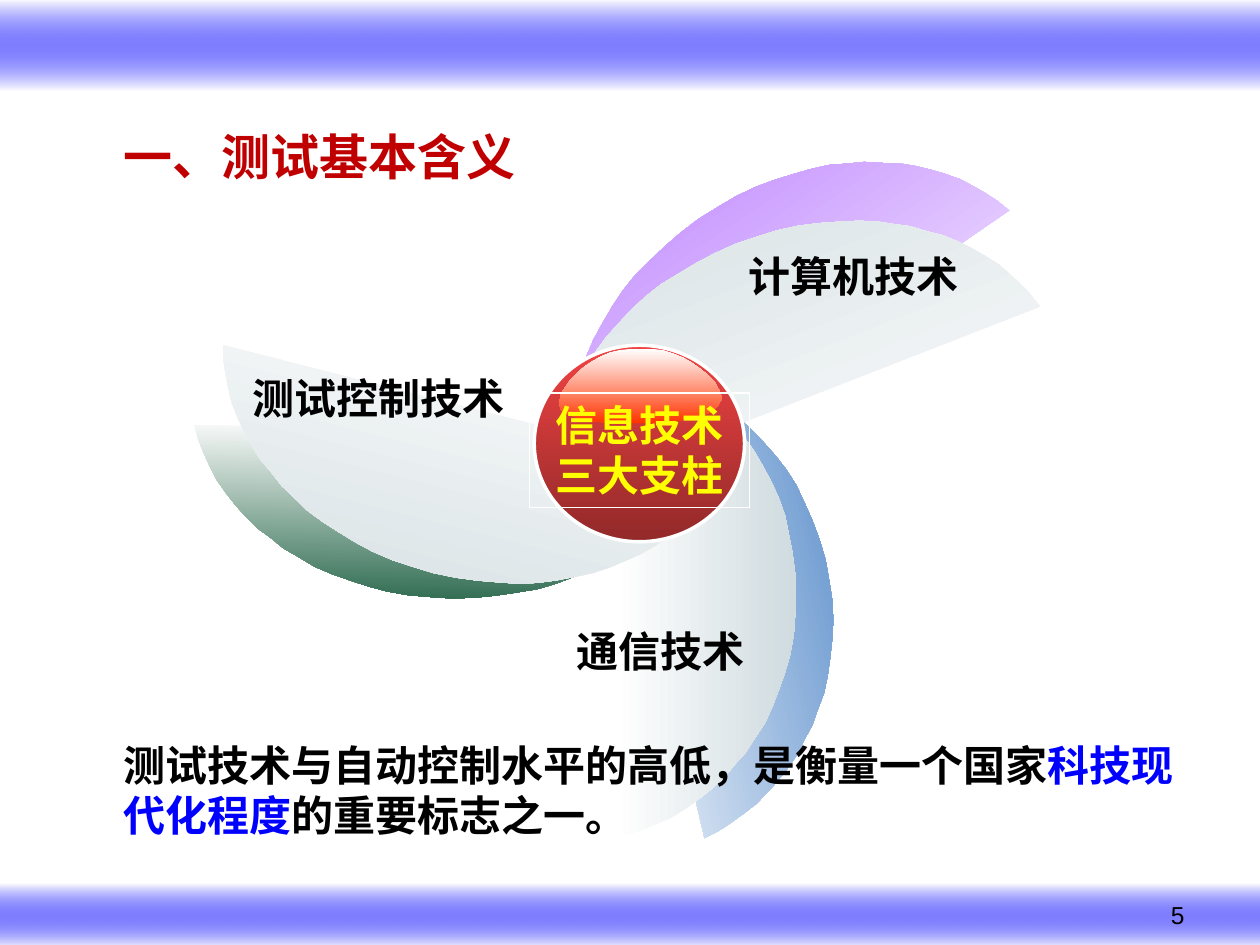
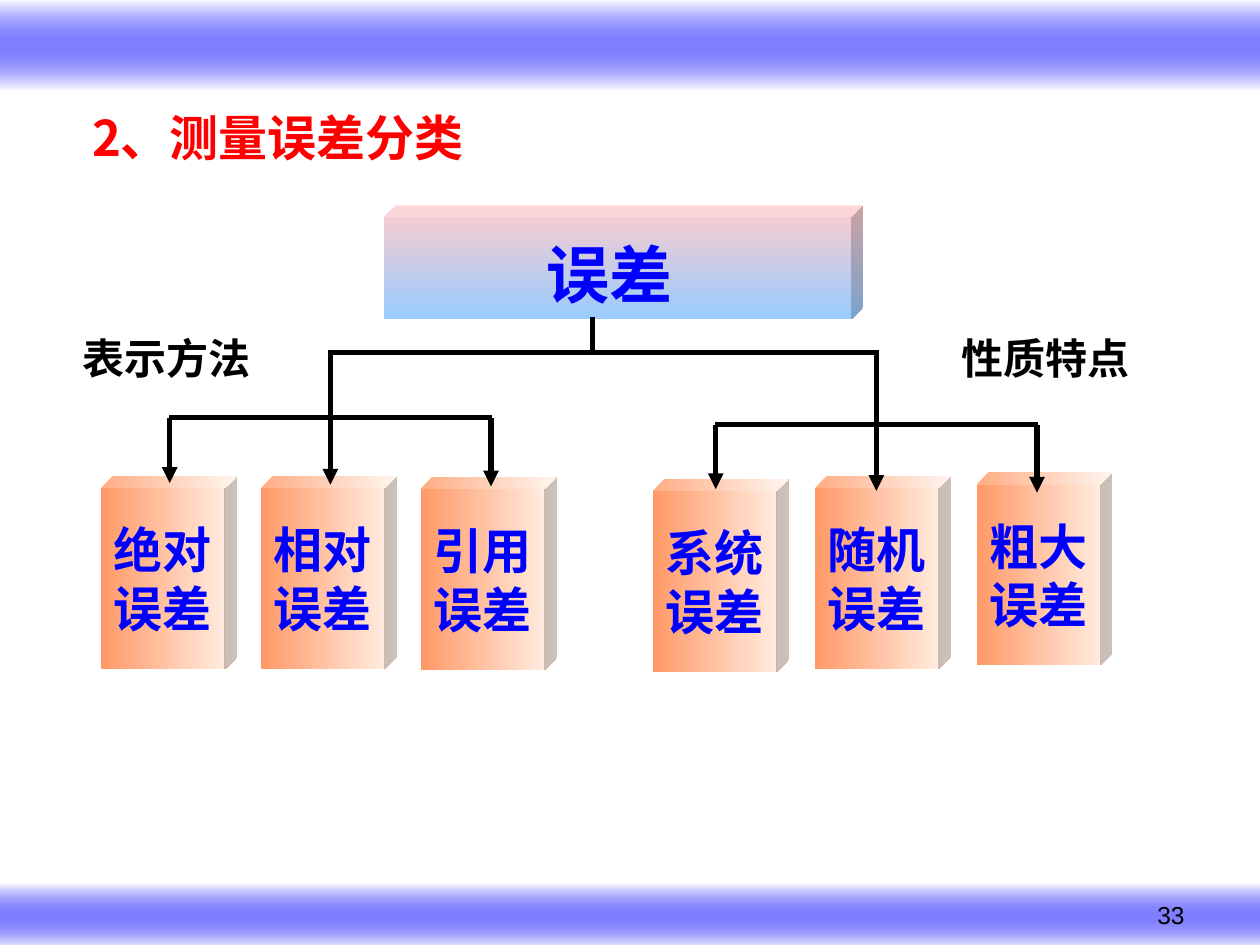
from pptx import Presentation
from pptx.dml.color import RGBColor
from pptx.enum.shapes import MSO_CONNECTOR as CONN, MSO_SHAPE as SHAPE
from pptx.enum.text import MSO_ANCHOR as ANCHOR, PP_ALIGN as ALIGN
from pptx.oxml import parse_xml
from pptx.oxml.ns import nsdecls, qn
from pptx.util import Pt

BLACK = RGBColor(0x00, 0x00, 0x00)
WHITE = RGBColor(0xFF, 0xFF, 0xFF)
BLUE = RGBColor(0x00, 0x00, 0xFF)
RED = RGBColor(0xFF, 0x00, 0x00)
DARK_RED = RGBColor(0xC0, 0x00, 0x00)
YELLOW = RGBColor(0xFF, 0xFF, 0x00)
GREY = RGBColor(0xCF, 0xDB, 0xDF)
SKY = RGBColor(0x44, 0x7E, 0xC4)
GREEN = RGBColor(0x2A, 0x68, 0x4C)
PURPLE = RGBColor(0xAF, 0x67, 0xFF)
BALL_LIGHT = RGBColor(0xF1, 0x43, 0x43)
BALL_DARK = RGBColor(0x92, 0x29, 0x29)
GLOSS = RGBColor(0xFF, 0x33, 0x00)
PINK = RGBColor(0xFF, 0xCC, 0xCC)
PALE_BLUE = RGBColor(0x99, 0xCC, 0xFF)
ORANGE = RGBColor(0xFF, 0x99, 0x66)
CREAM = RGBColor(0xFF, 0xF3, 0xEB)

CJK = "Noto Sans CJK SC"
SANS = "Arial"
SERIF = "Times New Roman"

BANDS = [(0, 504.7, 720, 37.4), (0, 0, 720, 51.8)]
BAND_STOPS = [(0, WHITE, 100), (50, BLUE, 50), (100, WHITE, 100)]
NUMBER_BOX = (516.2, 510.5, 167.8, 37.4)

PILLARS = {
    "title": ("一、测试基本含义", (63.4, 43.9, 283, 90), SANS, DARK_RED),
    "number": "5",
}
ERRORS = {
    "title": ("2、测量误差分类", (45.4, 57.6, 272.9, 41), CJK, RED),
    "number": "33",
}

WING_OUTLINE = [
    (0, 0), (7.9, 2.2), (15.8, 5), (23.8, 8.6), (31.7, 12.2), (38.9, 16.6),
    (46.1, 22.3), (53.3, 28.1), (60.5, 34.6), (67, 41.8), (73.4, 49),
    (79.2, 56.9), (84.2, 65.5), (89.3, 74.9), (93.6, 84.2), (97.2, 94.3),
    (99.4, 105.1), (101.5, 115.9), (103, 127.4), (103.7, 139.7),
    (103, 151.9), (102.2, 162.7), (100.1, 174.2), (97.2, 184.3),
    (93.6, 194.4), (90, 203.8), (85.7, 213.1), (79.9, 221.8),
    (74.9, 229.7), (68.4, 236.9), (62.6, 244.1), (55.4, 250.6),
    (48.2, 256.3), (41, 261.4), (33.1, 266.4), (25.2, 270),
    (16.6, 273.6), (8.6, 276.5), (0, 278.6),
]
GLOSS_OUTLINE = [
    (91.4, 23.8), (92.9, 28.1), (90.7, 32.4), (87.1, 36), (80.6, 38.2),
    (72, 40.3), (62.6, 41.8), (55.4, 42.5), (33.1, 42.5), (24.5, 41.8),
    (16.6, 41), (9.4, 38.9), (4.3, 37.4), (0.7, 34.6), (0, 31),
    (0.7, 25.9), (3.6, 21.6), (6.5, 17.3), (10.1, 13.7), (14.4, 10.1),
    (18.7, 7.2), (23.8, 4.3), (28.8, 2.2), (34.6, 0.7), (40.3, 0),
    (53.3, 0), (59, 0.7), (65.5, 2.9), (70.6, 5), (75.6, 7.9),
    (80.6, 11.5), (85, 15.1), (88.6, 18.7),
]
WINGS = [
    ((369.4, 192.2, 103.7, 278.6), 346.8, SKY),
    ((211, 144.7, 96.5, 298.1), 91, GREEN),
    ((378, 15.8, 96.5, 298.4), 235.5, PURPLE),
    ((351.4, 200.2, 103.7, 278.6), 0, GREY),
    ((211.7, 131.8, 96.5, 298.1), 104.3, GREY),
    ((389.5, 35.3, 96.5, 298.1), 248.7, GREY),
]
BALL_BOX = (305.3, 197.3, 120.2, 112.3)
GLOSS_BOX = (319.7, 199.4, 92.9, 42.5)
CORE_BOX = (302.4, 224.6, 126, 65.5)
CORE_LINES = ["信息技术", "三大支柱"]
PILLAR_LABELS = [
    ("测试控制技术", (136.8, 209.5, 158.4, 36), ALIGN.RIGHT),
    ("计算机技术", (420.5, 139.7, 134.6, 36), ALIGN.LEFT),
    ("通信技术", (322.6, 354.2, 110.2, 36), ALIGN.RIGHT),
]
CONCLUSION_BOX = (63.4, 419, 629.3, 64.8)
CONCLUSION = [
    ("测试技术与自动控制水平的高低，是衡量一个国家", BLACK),
    ("科技现代化程度", BLUE),
    ("的重要标志之一。", BLACK),
]

ROOT_BOX = (219.6, 117.4, 273.6, 64.8)
CUBE_SIZE = (77.8, 110.2)
ARROW_STEP = 91.8
STEM_X, STEM_TOP, TRUNK_Y = 338.4, 181.4, 201.6
BRANCHES = [
    {"label": "表示方法", "label_box": (40.3, 186.5, 125.3, 36.7),
     "kinds": ["绝对", "相对", "引用"], "left": 57.6, "step": 91.4,
     "tops": [272.2, 272.2, 272.4], "arrow_x": 97, "bar_y": 238.6, "tip_y": 276},
    {"label": "性质特点", "label_box": (542.2, 186.5, 118.8, 36.7),
     "kinds": ["系统", "随机", "粗大"], "left": 373, "step": 92.5,
     "tops": [273.6, 272.2, 270], "arrow_x": 409, "bar_y": 242.6, "tip_y": 279.5},
]


def points(values):
    return [Pt(v) for v in values]


def apply(target, settings):
    for name, value in settings.items():
        setattr(target, name, value)


def set_gradient(s, stops, angle=0):
    s.shadow.inherit = False
    s.line.fill.background()
    s.fill.gradient()
    s.fill.gradient_angle = -angle % 360
    stop_list = s._element.spPr.find(".//" + qn("a:gsLst"))
    for old in list(stop_list):
        stop_list.remove(old)
    for position, color, alpha in stops:
        stop_list.append(parse_xml(
            f'<a:gs {nsdecls("a")} pos="{position * 1000}"><a:srgbClr val="{color}">'
            f'<a:alpha val="{alpha * 1000}"/></a:srgbClr></a:gs>'))


def two_tone(start, end):
    return [(0, start, 100), (100, end, 100)]


def add_run(p, text, size, color, font, bold=True):
    r = p.add_run()
    r.text = text
    apply(r.font, {"size": Pt(size), "bold": bold, "name": font})
    r.font.color.rgb = color
    r._r.get_or_add_rPr().find(qn("a:latin")).addnext(
        parse_xml(f'<a:ea {nsdecls("a")} typeface="{CJK}"/>'))


def write(s, paragraphs, size, font, align=ALIGN.LEFT, anchor=ANCHOR.TOP,
          wrap=True, bold=True):
    tf = s.text_frame
    apply(tf, {"word_wrap": wrap, "vertical_anchor": anchor})
    for i, runs in enumerate(paragraphs):
        p = tf.add_paragraph() if i else tf.paragraphs[0]
        p.alignment = align
        for text, color in runs:
            add_run(p, text, size, color, font, bold)


def add_text(slide, box, paragraphs, size, font, **options):
    s = slide.shapes.add_textbox(*points(box))
    write(s, paragraphs, size, font, **options)
    return s


def add_gradient_shape(slide, kind, box, stops, angle=0):
    s = slide.shapes.add_shape(kind, *points(box))
    set_gradient(s, stops, angle)
    return s


def add_outline(slide, outline, box, stops, angle=0, rotation=0):
    start, *rest = [points(xy) for xy in outline]
    builder = slide.shapes.build_freeform(*start)
    builder.add_line_segments(rest, close=True)
    s = builder.convert_to_shape()
    apply(s, dict(zip(("left", "top", "width", "height"), points(box))))
    s.rotation = rotation
    set_gradient(s, stops, angle)


def add_line(slide, x1, y1, x2, y2, arrow=False):
    c = slide.shapes.add_connector(CONN.STRAIGHT, *points((x1, y1, x2, y2)))
    c.line.width = Pt(3)
    c.line.color.rgb = BLACK
    if arrow:
        c.line._get_or_add_ln().append(
            parse_xml(f'<a:tailEnd {nsdecls("a")} type="triangle"/>'))
    c._element.spPr.append(parse_xml(f'<a:effectLst {nsdecls("a")}/>'))


def add_cube(slide, box, depth, colors, angle, lines, size):
    s = add_gradient_shape(slide, SHAPE.CUBE, box, two_tone(*colors), angle)
    s.adjustments[0] = depth
    write(s, [[(line, BLUE)] for line in lines], size, SANS,
          align=ALIGN.CENTER, anchor=ANCHOR.MIDDLE, wrap=False)
    return s


def start_slide(prs, content):
    slide = prs.slides.add_slide(prs.slide_layouts[5])
    text, box, font, color = content["title"]
    title = slide.shapes.title
    apply(title, dict(zip(("left", "top", "width", "height"), points(box))))
    write(title, [[(text, color)]], 28, font, anchor=ANCHOR.MIDDLE)
    for band in BANDS:
        add_gradient_shape(slide, SHAPE.RECTANGLE, band, BAND_STOPS, 90)
    add_text(slide, NUMBER_BOX, [[(content["number"], BLACK)]], 14, SANS,
             align=ALIGN.RIGHT, bold=False)
    return slide


def build_pillars(prs):
    slide = start_slide(prs, PILLARS)
    for box, rotation, color in WINGS:
        add_outline(slide, WING_OUTLINE, box, two_tone(WHITE, color), rotation=rotation)
    ball = add_gradient_shape(slide, SHAPE.OVAL, BALL_BOX,
                              two_tone(BALL_LIGHT, BALL_DARK), 90)
    add_outline(slide, GLOSS_OUTLINE, GLOSS_BOX, two_tone(WHITE, GLOSS), 90)
    core = add_text(slide, CORE_BOX, [[(line, YELLOW)] for line in CORE_LINES],
                    24, SERIF, align=ALIGN.CENTER)
    for s, width in ((ball, 2), (core, 0.75)):
        s.line.color.rgb = WHITE
        s.line.width = Pt(width)
    for text, box, align in PILLAR_LABELS:
        add_text(slide, box, [[(text, BLACK)]], 24, SERIF, align=align, wrap=False)
    add_text(slide, CONCLUSION_BOX, [CONCLUSION], 24, SERIF)


def build_errors(prs):
    slide = start_slide(prs, ERRORS)
    root = add_cube(slide, ROOT_BOX, 0.102, (PINK, PALE_BLUE), 90, ["误差"], 36)
    add_run(root.text_frame.paragraphs[0], " ", 44, BLUE, SANS)
    add_line(slide, STEM_X, STEM_TOP, STEM_X, TRUNK_Y)
    middles = [b["arrow_x"] + ARROW_STEP for b in BRANCHES]
    add_line(slide, middles[0], TRUNK_Y, middles[1] + 1, TRUNK_Y)
    for b, middle in zip(BRANCHES, middles):
        add_text(slide, b["label_box"], [[(b["label"], BLACK)]], 24, CJK)
        for i, (kind, top) in enumerate(zip(b["kinds"], b["tops"])):
            add_cube(slide, (b["left"] + i * b["step"], top, *CUBE_SIZE), 0.089,
                     (ORANGE, CREAM), 0, [kind, "误差"], 28)
        bar_y, first = b["bar_y"], b["arrow_x"]
        add_line(slide, first - 0.5, bar_y, first + 2 * ARROW_STEP + 0.5, bar_y)
        add_line(slide, middle, TRUNK_Y - 1.5, middle, bar_y)
        for i in range(3):
            x = first + i * ARROW_STEP
            add_line(slide, x, bar_y, x, b["tip_y"] + i, arrow=True)


def main():
    prs = Presentation()
    apply(prs, {"slide_width": Pt(720), "slide_height": Pt(540)})
    build_pillars(prs)
    build_errors(prs)
    prs.save("out.pptx")


if __name__ == "__main__":
    main()
